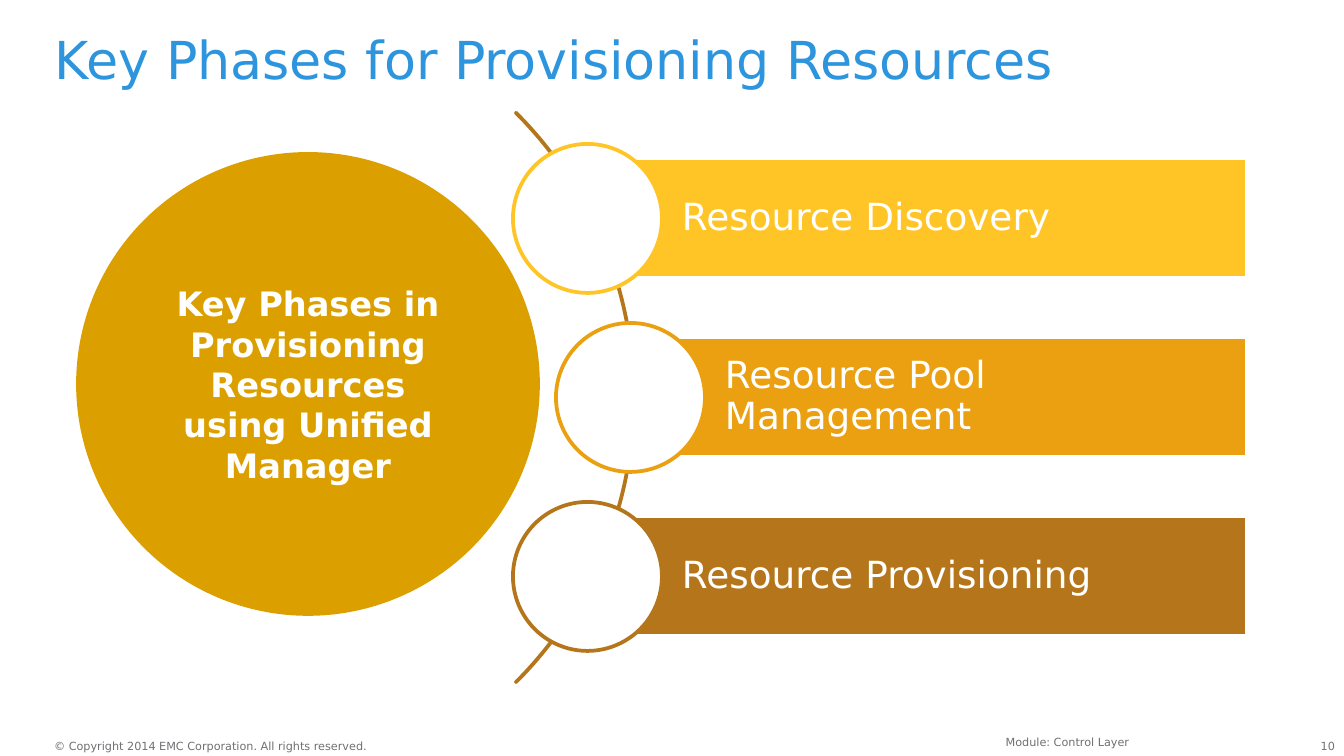
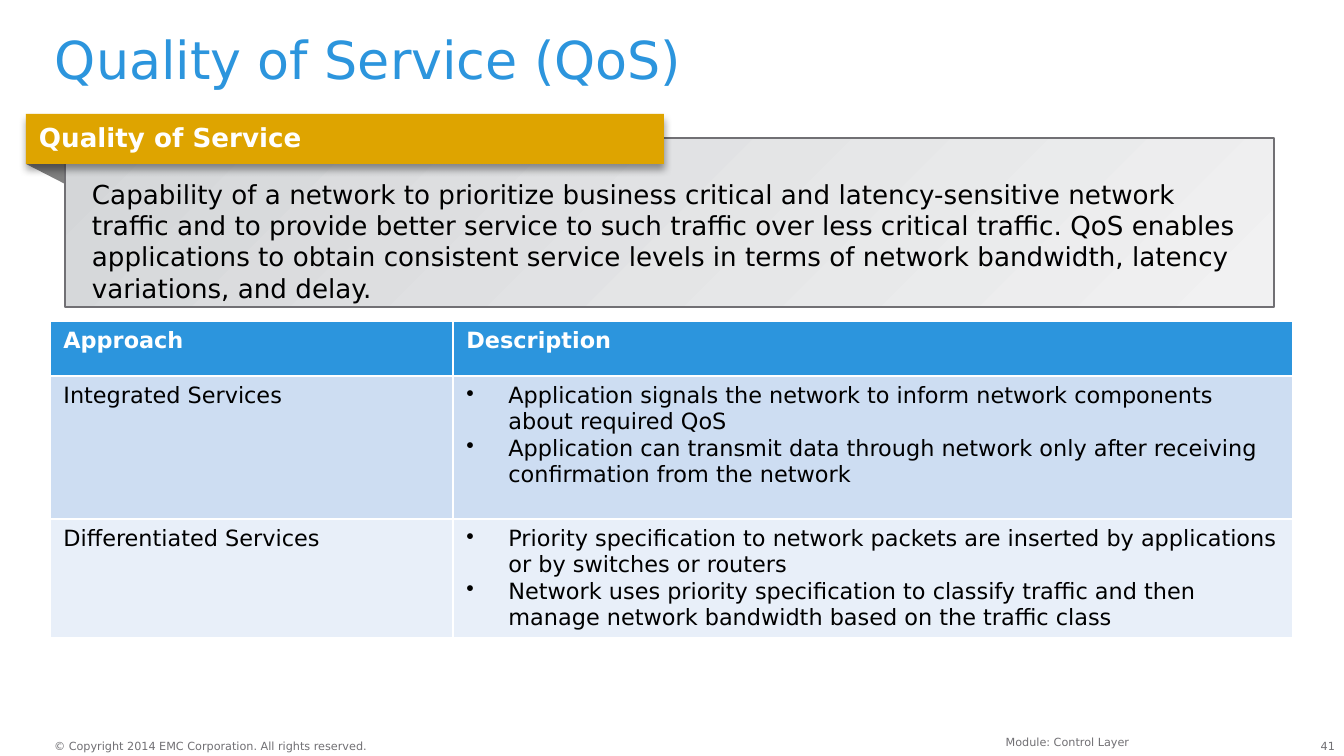
import pptx
import pptx.util
import pptx.dml.color
import pptx.enum.shapes
import pptx.enum.text
import pptx.oxml
import pptx.oxml.ns
from collections import namedtuple
from dataclasses import dataclass
from lxml import etree

SCALE = 914400 / 134.4
KIND = pptx.enum.shapes.MSO_SHAPE
ALIGN = pptx.enum.text.PP_ALIGN
ANCHOR = pptx.enum.text.MSO_ANCHOR
Box = namedtuple("Box", "x y w h")


@dataclass(frozen=True)
class Theme:
    font: str = "DejaVu Sans"
    blue: str = "2C95DD"
    grey: str = "717074"
    white: str = "FFFFFF"
    black: str = "000000"
    fold: str = "808080"
    gold: str = "DBA000"
    tab: str = "DEA400"
    arc: str = "B5761B"
    steps: tuple = ("FFC425", "EAA010", "B5761B")
    panel: tuple = ("D4D6D8", "F1F1F2")
    bands: tuple = ("CDDDF2", "E8EFF9")
    title: int = 28
    step: int = 20
    hub: int = 18
    text: int = 14
    cell: int = 12
    foot: int = 6


LOOK = Theme()


def px(num):
    return pptx.util.Emu(round(num * SCALE))


def place(box):
    return [px(num) for num in box]


def rgb(code):
    return pptx.dml.color.RGBColor.from_string(code)


def write(para, text, size, color, bold=False, align=ALIGN.LEFT):
    para.alignment = align
    run = para.add_run()
    run.text = text
    font = run.font
    font.name = LOOK.font
    font.size = pptx.util.Pt(size)
    font.bold = bold
    font.color.rgb = rgb(color)


def setup(frame, pads=(13, 7, 13, 7), anchor=ANCHOR.TOP, wrap=True):
    frame.word_wrap = wrap
    frame.auto_size = pptx.enum.text.MSO_AUTO_SIZE.NONE
    frame.vertical_anchor = anchor
    (frame.margin_left, frame.margin_top,
     frame.margin_right, frame.margin_bottom) = place(pads)
    return frame.paragraphs[0]


def paint(shape, fill=None, line=None, width=2):
    shape.shadow.inherit = False
    if fill:
        shape.fill.solid()
        shape.fill.fore_color.rgb = rgb(fill)
    else:
        shape.fill.background()
    if line:
        shape.line.color.rgb = rgb(line)
        shape.line.width = pptx.util.Pt(width)
    else:
        shape.line.fill.background()
    return shape


def draw(slide, kind, box, fill=None, line=None, width=2):
    return paint(slide.shapes.add_shape(kind, *place(box)), fill, line, width)


def note(slide, box, text, align=ALIGN.LEFT, pads=(0, 0, 0, 0), wrap=True):
    shape = slide.shapes.add_textbox(*place(box))
    para = setup(shape.text_frame, pads, wrap=wrap)
    write(para, text, LOOK.foot, LOOK.grey, align=align)


def begin(deck, title, page):
    slide = deck.slides.add_slide(deck.slide_layouts[0])
    for holder in list(slide.placeholders):
        if holder.placeholder_format.idx:
            holder.element.getparent().remove(holder.element)
    head = slide.shapes.title
    head.left, head.top, head.width, head.height = place(Box(55, 34, 1243, 67))
    para = setup(head.text_frame, (0, 0, 0, 0))
    para.line_spacing = 0.9
    write(para, title, LOOK.title, LOOK.blue)
    note(slide, Box(1293, 739, 42, 13), page, ALIGN.RIGHT)
    note(slide, Box(54, 739, 319, 13),
         "© Copyright 2014 EMC Corporation. All rights reserved.", wrap=False)
    note(slide, Box(380, 728, 762, 20), "Module: Control Layer",
         ALIGN.RIGHT, (13, 7, 13, 7))
    return slide


def phases(slide, box, hub, names):
    size = 805
    mid = box.y + box.h // 2
    arc = draw(slide, KIND.BLOCK_ARC,
               Box(box.x - 249, mid - size // 2, size, size), None, LOOK.arc)
    for spot, value in enumerate((189, 27, 0)):
        arc.adjustments[spot] = value
    tall, dot, pitch = 120, 149, 179
    for row, (name, color) in enumerate(zip(names, LOOK.steps)):
        left = box.x + (552 if row == 1 else 509)
        y = mid + (row - 1) * pitch
        bar = draw(slide, KIND.RECTANGLE,
                   Box(left, y - tall // 2, box.x + box.w - left, tall),
                   color, LOOK.white)
        para = setup(bar.text_frame, (95, 8, 8, 8), ANCHOR.MIDDLE)
        para.line_spacing = 0.9
        write(para, name, LOOK.step, LOOK.white)
        draw(slide, KIND.OVAL, Box(left - dot // 2, y - dot // 2, dot, dot),
             LOOK.white, color)
    disc = draw(slide, KIND.OVAL, Box(box.x, mid - 243, 460, 460),
                LOOK.gold, LOOK.gold)
    para = setup(disc.text_frame, anchor=ANCHOR.MIDDLE)
    write(para, hub, LOOK.hub, LOOK.white, True, ALIGN.CENTER)


def shade(shape):
    xml = (
        '<a:outerShdw %s blurRad="50800" dist="38100" dir="5400000" '
        'algn="t" rotWithShape="0"><a:srgbClr val="%s">'
        '<a:alpha val="40000"/></a:srgbClr></a:outerShdw>'
    ) % (pptx.oxml.ns.nsdecls("a"), LOOK.black)
    spot = shape.element.spPr.find(pptx.oxml.ns.qn("a:effectLst"))
    spot.append(pptx.oxml.parse_xml(xml))


def callout(slide, box, label, text):
    inset, drop, tall = 39, 24, 50
    base = box.y + tall
    pen = slide.shapes.build_freeform(box.x, base, scale=SCALE)
    pen.add_line_segments([(box.x + inset, base),
                           (box.x + inset, base + 20)])
    paint(pen.convert_to_shape(), LOOK.fold)
    panel = draw(slide, KIND.RECTANGLE,
                 Box(box.x + inset, box.y + drop, box.w - inset, box.h - drop),
                 LOOK.white, LOOK.grey, 1)
    panel.fill.gradient()
    panel.fill.gradient_angle = 315
    for stop, color in zip(panel.fill.gradient_stops, LOOK.panel):
        stop.color.rgb = rgb(color)
    para = setup(panel.text_frame, (27, 40, 27, 7))
    write(para, text, LOOK.text, LOOK.black)
    tab = draw(slide, KIND.RECTANGLE, Box(box.x, box.y, 638, tall), LOOK.tab)
    shade(tab)
    write(setup(tab.text_frame), label, LOOK.text, LOOK.white, True)


def bullet(para):
    props = para._p.get_or_add_pPr()
    props.set("marL", str(px(42)))
    props.set("indent", str(px(-42)))
    mark = etree.SubElement(props, pptx.oxml.ns.qn("a:buChar"))
    mark.set("char", "•")


def fill(cell, color):
    cell.fill.solid()
    cell.fill.fore_color.rgb = rgb(color)
    return cell.text_frame


def grid(slide, box, heads, rows):
    table = slide.shapes.add_table(len(rows) + 1, len(heads), *place(box)).table
    for col, width in zip(table.columns, (403, box.w - 403)):
        col.width = px(width)
    for row, height in zip(table.rows, (55, 143, box.h - 198)):
        row.height = px(height)
    for spot, head in enumerate(heads):
        frame = fill(table.cell(0, spot), LOOK.blue)
        write(frame.paragraphs[0], head, LOOK.cell, LOOK.white, True)
    for spot, ((name, points), band) in enumerate(zip(rows, LOOK.bands), 1):
        frame = fill(table.cell(spot, 0), band)
        write(frame.paragraphs[0], name, LOOK.cell, LOOK.black)
        frame = fill(table.cell(spot, 1), band)
        for turn, point in enumerate(points):
            para = frame.add_paragraph() if turn else frame.paragraphs[0]
            bullet(para)
            write(para, point, LOOK.cell, LOOK.black)


def main():
    deck = pptx.Presentation()
    deck.slide_width, deck.slide_height = px(1344), px(756)

    slide = begin(deck, "Key Phases for Provisioning Resources", "10")
    phases(slide, Box(78, 112, 1169, 570),
           "Key Phases in Provisioning Resources using Unified Manager",
           ("Resource Discovery", "Resource Pool Management",
            "Resource Provisioning"))

    slide = begin(deck, "Quality of Service (QoS)", "41")
    callout(slide, Box(26, 114, 1248, 193), "Quality of Service",
            "Capability of a network to prioritize business critical and "
            "latency-sensitive network traffic and to provide better service "
            "to such traffic over less critical traffic. QoS enables "
            "applications to obtain consistent service levels in terms of "
            "network bandwidth, latency variations, and delay.")
    grid(slide, Box(50, 321, 1243, 316), ("Approach", "Description"), (
        ("Integrated Services", (
            "Application signals the network to inform network components "
            "about required QoS",
            "Application can transmit data through network only after "
            "receiving confirmation from the network")),
        ("Differentiated Services", (
            "Priority specification to network packets are inserted by "
            "applications or by switches or routers",
            "Network uses priority specification to classify traffic and "
            "then manage network bandwidth based on the traffic class")),
    ))
    deck.save("out.pptx")


if __name__ == "__main__":
    main()
